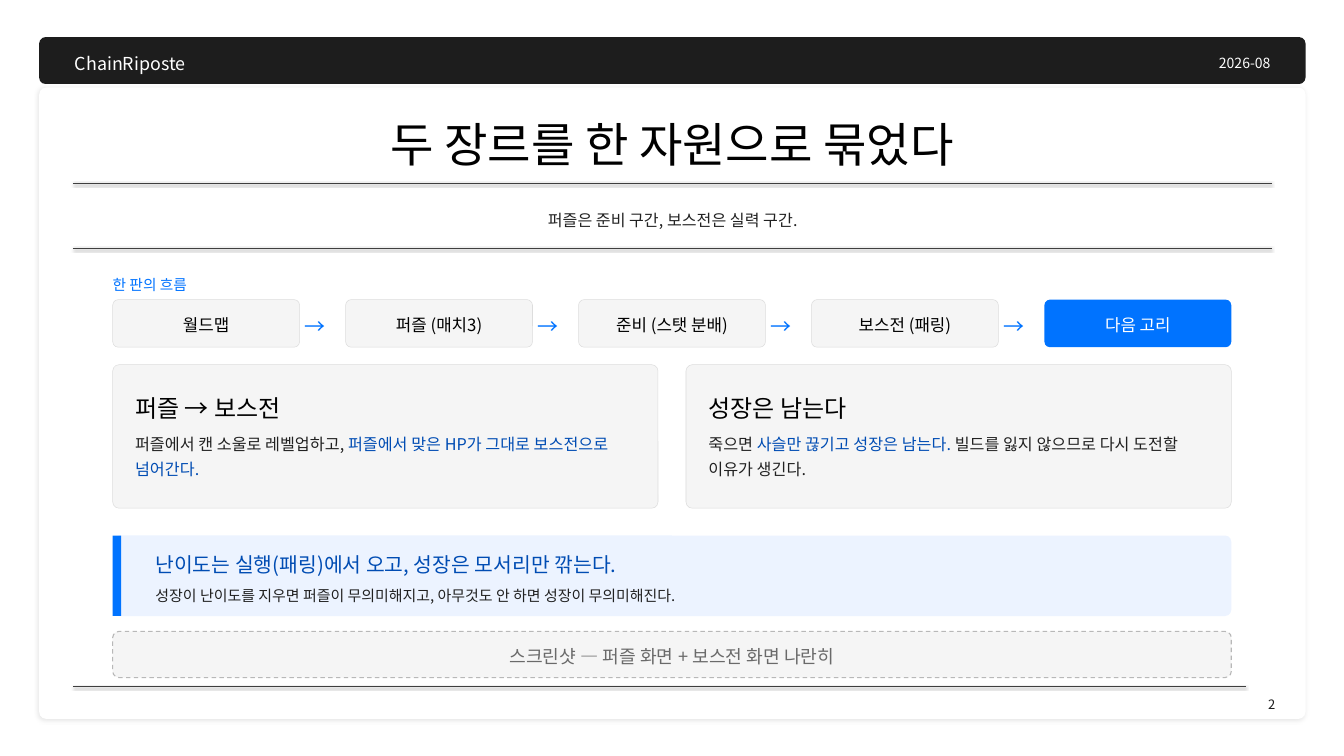
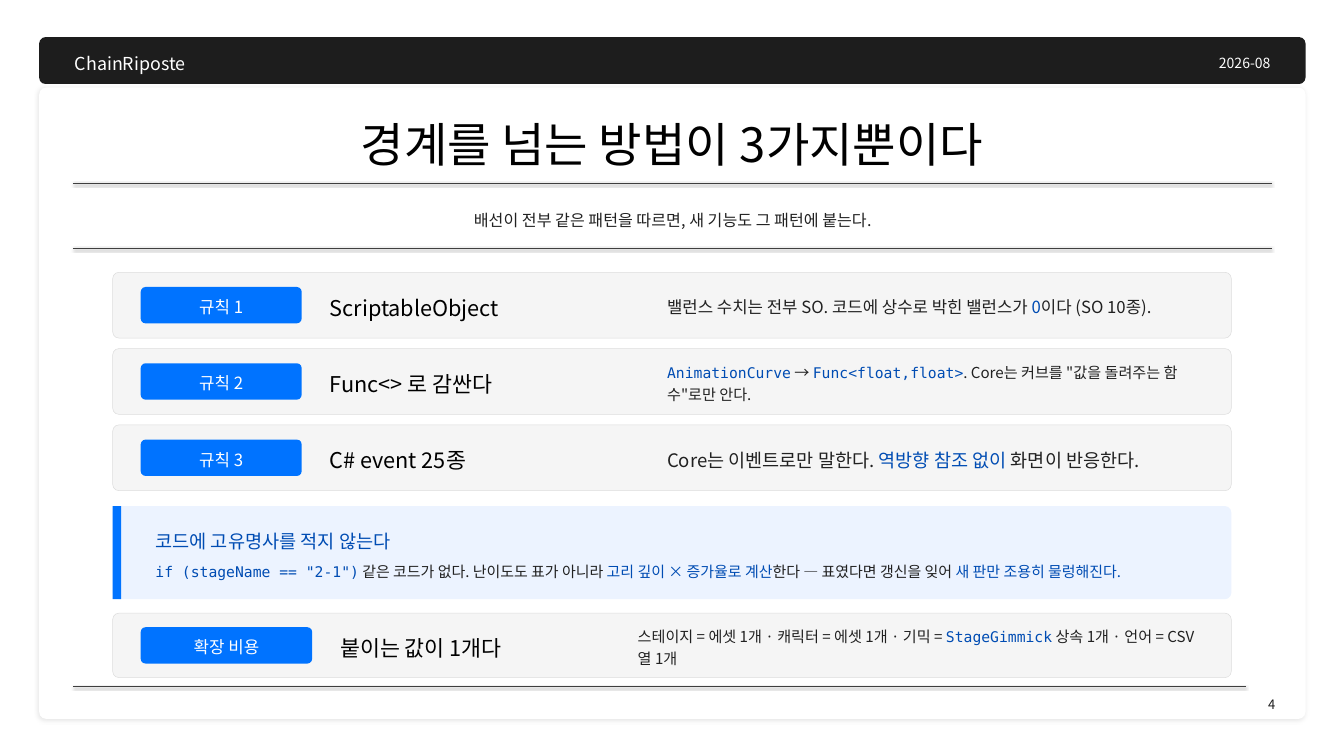
from dataclasses import dataclass

from lxml.etree import SubElement
from pptx import Presentation
from pptx.dml.color import RGBColor
from pptx.enum.dml import MSO_LINE
from pptx.enum.shapes import MSO_CONNECTOR, MSO_SHAPE
from pptx.enum.text import MSO_ANCHOR, MSO_AUTO_SIZE, PP_ALIGN
from pptx.oxml.ns import qn
from pptx.util import Emu, Pt

PX = 12700
SLIDE_SIZE = (1920, 1080)


@dataclass(frozen=True)
class Theme:
    sans: str = "Noto Sans CJK KR"
    mono: str = "DejaVu Sans Mono"
    white: str = "FFFFFF"
    black: str = "000000"
    bar: str = "1D1D1D"
    body: str = "212121"
    muted: str = "6A6A6A"
    blue: str = "0073FF"
    accent: str = "004CB3"
    tint: str = "ECF3FF"
    panel: str = "F5F5F5"
    border: str = "DDDDDD"
    dashed: str = "B8B8B8"
    rule: str = "3F3F3F"
    title_size: float = 67.5
    card_title_size: float = 34.3
    row_title_size: float = 31
    arrow_size: float = 30
    slot_size: float = 26
    brand_size: float = 25.5
    box_size: float = 24
    card_size: float = 23.1
    subtitle_size: float = 23
    note_size: float = 21.4
    label_size: float = 21
    code_size: float = 21
    date_size: float = 20
    page_size: float = 18.5


THEME = Theme()
CENTER, RIGHT = PP_ALIGN.CENTER, PP_ALIGN.RIGHT
MIDDLE, TOP = MSO_ANCHOR.MIDDLE, MSO_ANCHOR.TOP

# Rich text is a list of (text, kind); kind is "body", "accent" or "code".
BRAND, DATE = "ChainRiposte", "2026-08"

LOOP = {
    "page": "2",
    "title": "두 장르를 한 자원으로 묶었다",
    "subtitle": "퍼즐은 준비 구간, 보스전은 실력 구간.",
    "label": "한 판의 흐름",
    "steps": ["월드맵", "퍼즐 (매치3)", "준비 (스탯 분배)", "보스전 (패링)", "다음 고리"],
    "cards": [
        ("퍼즐 → 보스전", [
            ("퍼즐에서 캔 소울로 레벨업하고, ", "body"),
            ("퍼즐에서 맞은 HP가 그대로 보스전으로 넘어간다.", "accent")]),
        ("성장은 남는다", [
            ("죽으면 ", "body"),
            ("사슬만 끊기고 성장은 남는다.", "accent"),
            (" 빌드를 잃지 않으므로 다시 도전할 이유가 생긴다.", "body")]),
    ],
    "banner": ("난이도는 실행(패링)에서 오고, 성장은 모서리만 깎는다.", 29.1, [
        ("성장이 난이도를 지우면 퍼즐이 무의미해지고, "
         "아무것도 안 하면 성장이 무의미해진다.", "body")]),
    "slot": "스크린샷 — 퍼즐 화면 + 보스전 화면 나란히",
}

RULES = {
    "page": "4",
    "title": "경계를 넘는 방법이 3가지뿐이다",
    "subtitle": "배선이 전부 같은 패턴을 따르면, 새 기능도 그 패턴에 붙는다.",
    "rows": [
        ("규칙 1", "ScriptableObject", 23.9, [
            ("밸런스 수치는 전부 SO. 코드에 상수로 박힌 밸런스가 ", "body"),
            ("0", "accent"),
            ("이다 (SO 10종).", "body")]),
        ("규칙 2", "Func<> 로 감싼다", 21.6, [
            ("AnimationCurve", "code"),
            (" → ", "body"),
            ("Func<float,float>", "code"),
            (". Core는 커브를 \"값을 돌려주는 함수\"로만 안다.", "body")]),
        ("규칙 3", "C# event 25종", 26.5, [
            ("Core는 이벤트로만 말한다. ", "body"),
            ("역방향 참조 없이", "accent"),
            (" 화면이 반응한다.", "body")]),
    ],
    "banner": ("코드에 고유명사를 적지 않는다", 26.6, [
        ("if (stageName == \"2-1\")", "code"),
        (" 같은 코드가 없다. 난이도도 표가 아니라 ", "body"),
        ("고리 깊이 × 증가율로 계산", "accent"),
        ("한다 — 표였다면 갱신을 잊어 ", "body"),
        ("새 판만 조용히 물렁해진다.", "accent")]),
    "cost": ("확장 비용", "붙이는 값이 1개다", 21.6, [
        ("스테이지 = 에셋 1개 · 캐릭터 = 에셋 1개 · 기믹 = ", "body"),
        ("StageGimmick", "code"),
        (" 상속 1개 · 언어 = CSV 열 1개", "body")]),
}

LEFT, WIDTH = 161, 1598
FLOW_TOP, STEP_WIDTH, STEP_HEIGHT, ARROW_WIDTH = 428, 267, 68, 45
CARD_TOP, CARD_HEIGHT, CARD_GAP, CARD_INSET = 521, 205, 40, 32
ROWS_TOP, ROW_HEIGHT, ROW_PITCH = 389, 94, 109
BADGE_INSET, BADGE_HEIGHT = 40, 52


def px(*lengths):
    return [Emu(round(length * PX)) for length in lengths]


def rgb(color):
    return RGBColor.from_string(color)


def set_shadow(shape, alpha=None, blur=0, distance=0):
    """Give the shape a downward shadow, or none when alpha is missing."""
    properties = shape._element.spPr
    for old in properties.findall(qn("a:effectLst")):
        properties.remove(old)
    effects = SubElement(properties, qn("a:effectLst"))
    if alpha is not None:
        outer = SubElement(effects, qn("a:outerShdw"), blurRad=str(round(blur * PX)),
                           dist=str(round(distance * PX)), dir="5400000",
                           algn="ctr", rotWithShape="0")
        color = SubElement(outer, qn("a:srgbClr"), val=THEME.black)
        SubElement(color, qn("a:alpha"), val=str(alpha * 1000))


def set_font(font, size, color, name=THEME.sans):
    font.size, font.name = Pt(size), name
    font.color.rgb = rgb(color)
    SubElement(font._element, qn("a:ea"), typeface=name)


def write(paragraph, content, size, color, align=None, spacing=1.22):
    """Write a string, or (text, kind) runs that override the paragraph font."""
    paragraph.line_spacing = spacing
    if align is not None:
        paragraph.alignment = align
    set_font(paragraph.font, size, color)
    runs = [(content, "body")] if isinstance(content, str) else content
    for text, kind in runs:
        run = paragraph.add_run()
        run.text = text
        if kind == "code":
            set_font(run.font, THEME.code_size, THEME.accent, THEME.mono)
        elif kind == "accent":
            run.font.color.rgb = rgb(THEME.accent)


def add_text(slide, box, content, size, color, align=None, anchor=TOP):
    shape = slide.shapes.add_textbox(*px(*box))
    frame = shape.text_frame
    frame.word_wrap = True
    frame.auto_size = MSO_AUTO_SIZE.SHAPE_TO_FIT_TEXT
    frame.vertical_anchor = anchor
    frame.margin_left = frame.margin_top = frame.margin_right = frame.margin_bottom = 0
    write(frame.paragraphs[0], content, size, color, align)
    return frame


def add_box(slide, box, fill, border=None, radius=9):
    preset = MSO_SHAPE.ROUNDED_RECTANGLE if radius else MSO_SHAPE.RECTANGLE
    shape = slide.shapes.add_shape(preset, *px(*box))
    if radius:
        shape.adjustments[0] = radius / min(box[2:])
    shape.fill.solid()
    shape.fill.fore_color.rgb = rgb(fill)
    if border:
        shape.line.color.rgb = rgb(border)
        shape.line.width = Pt(0.75)
    else:
        shape.line.fill.background()
    shape.shadow.inherit = False
    return shape


def fill_box(shape, text, size, color):
    frame = shape.text_frame
    frame.word_wrap = True
    frame.vertical_anchor = MIDDLE
    frame.margin_left = frame.margin_right = Emu(13 * PX)
    frame.margin_top = frame.margin_bottom = 0
    write(frame.paragraphs[0], text, size, color, CENTER, 1.15)


def add_rule(slide, left, right, y, weight=1.25):
    line = slide.shapes.add_connector(MSO_CONNECTOR.STRAIGHT, *px(left, y, right, y))
    line.line.color.rgb = rgb(THEME.rule)
    line.line.width = Pt(weight)
    set_shadow(line, 38, 3.1, 1.6)


def add_frame(presentation, content):
    """Start a slide with the header bar, title block, rules and page number."""
    slide = presentation.slides.add_slide(presentation.slide_layouts[6])
    set_shadow(add_box(slide, (56, 125, 1809, 902), THEME.white, radius=10), 9, 6, 2)
    add_box(slide, (56, 53, 1809, 67), THEME.bar)
    add_text(slide, (107, 68, 432, 40), BRAND, THEME.brand_size, THEME.white)
    add_text(slide, (1361, 72, 454, 32), DATE, THEME.date_size, THEME.white, RIGHT)
    add_rule(slide, 105, 1780, 981, 1.1)
    add_text(slide, (1397, 990, 425, 32), content["page"],
             THEME.page_size, THEME.bar, RIGHT)
    add_text(slide, (303, 148, 1314, 97), content["title"],
             THEME.title_size, THEME.black, CENTER, MIDDLE)
    add_text(slide, (187, 289, 1548, 45), content["subtitle"],
             THEME.subtitle_size, THEME.body, CENTER, MIDDLE)
    for y in (262, 355):
        add_rule(slide, 104, 1817, y)
    return slide


def add_banner(slide, top, height, banner):
    heading, heading_size, note = banner
    add_box(slide, (LEFT, top, WIDTH, height), THEME.tint)
    add_box(slide, (LEFT, top, 12, height), THEME.blue, radius=0)
    frame = add_text(slide, (LEFT + 61, top + 16, 1475, height - 32), heading,
                     heading_size, THEME.accent, anchor=MIDDLE)
    paragraph = frame.add_paragraph()
    paragraph.space_before = Pt(8.6)
    write(paragraph, note, THEME.note_size, THEME.body)


def add_flow(slide, steps):
    pitch = (WIDTH - STEP_WIDTH) / (len(steps) - 1)
    for index, step in enumerate(steps):
        left = LEFT + index * pitch
        last = index == len(steps) - 1
        fill, border, color = ((THEME.blue, None, THEME.white) if last
                               else (THEME.panel, THEME.border, THEME.black))
        box = add_box(slide, (left, FLOW_TOP, STEP_WIDTH, STEP_HEIGHT), fill, border, 8)
        fill_box(box, step, THEME.box_size, color)
        if not last:
            add_text(slide, (left + STEP_WIDTH, FLOW_TOP, ARROW_WIDTH, STEP_HEIGHT),
                     "→", THEME.arrow_size, THEME.blue, CENTER, MIDDLE)


def add_cards(slide, cards):
    width = (WIDTH - CARD_GAP * (len(cards) - 1)) / len(cards)
    for index, (heading, body) in enumerate(cards):
        left = LEFT + index * (width + CARD_GAP)
        add_box(slide, (left, CARD_TOP, width, CARD_HEIGHT), THEME.panel, THEME.border)
        text_left, text_width = left + CARD_INSET, width - 2 * CARD_INSET
        add_text(slide, (text_left, CARD_TOP + CARD_INSET, text_width, 52), heading,
                 THEME.card_title_size, THEME.black)
        frame = add_text(slide, (text_left, CARD_TOP + 91, text_width, 81), body,
                         THEME.card_size, THEME.body)
        frame.paragraphs[0].line_spacing = 1.3
        frame.paragraphs[0].space_after = Pt(6)


def add_row(slide, top, height, row, badge_width, heading_width):
    """Add a panel with a badge, a heading and a body that ends near the right edge."""
    badge, heading, body_size, body = row
    add_box(slide, (LEFT, top, WIDTH, height), THEME.panel, THEME.border)
    badge_left = LEFT + BADGE_INSET
    badge_box = (badge_left, top + (height - BADGE_HEIGHT) / 2, badge_width, BADGE_HEIGHT)
    fill_box(add_box(slide, badge_box, THEME.blue, radius=7),
             badge, THEME.box_size, THEME.white)
    heading_left = badge_left + badge_width + 40
    body_left = heading_left + heading_width + 36
    text_top, text_height = top + 14, height - 29
    add_text(slide, (heading_left, text_top, heading_width, text_height), heading,
             THEME.row_title_size, THEME.black, anchor=MIDDLE)
    add_text(slide, (body_left, text_top, LEFT + WIDTH - 43 - body_left, text_height),
             body, body_size, THEME.body, anchor=MIDDLE)


def build_loop(presentation):
    slide = add_frame(presentation, LOOP)
    add_text(slide, (LEFT, 389, WIDTH, 30), LOOP["label"], THEME.label_size, THEME.blue)
    add_flow(slide, LOOP["steps"])
    add_cards(slide, LOOP["cards"])
    add_banner(slide, 765, 115, LOOP["banner"])
    slot = add_box(slide, (LEFT, 902, WIDTH, 66), THEME.panel, THEME.dashed)
    slot.line.width = Pt(1.6)
    slot.line.dash_style = MSO_LINE.DASH
    fill_box(slot, LOOP["slot"], THEME.slot_size, THEME.muted)


def build_rules(presentation):
    slide = add_frame(presentation, RULES)
    for index, row in enumerate(RULES["rows"]):
        add_row(slide, ROWS_TOP + index * ROW_PITCH, ROW_HEIGHT, row, 230, 446)
    add_banner(slide, 723, 133, RULES["banner"])
    add_row(slide, 876, 92, RULES["cost"], 245, 389)


def main():
    presentation = Presentation()
    presentation.slide_width, presentation.slide_height = px(*SLIDE_SIZE)
    build_loop(presentation)
    build_rules(presentation)
    presentation.save("out.pptx")


if __name__ == "__main__":
    main()
